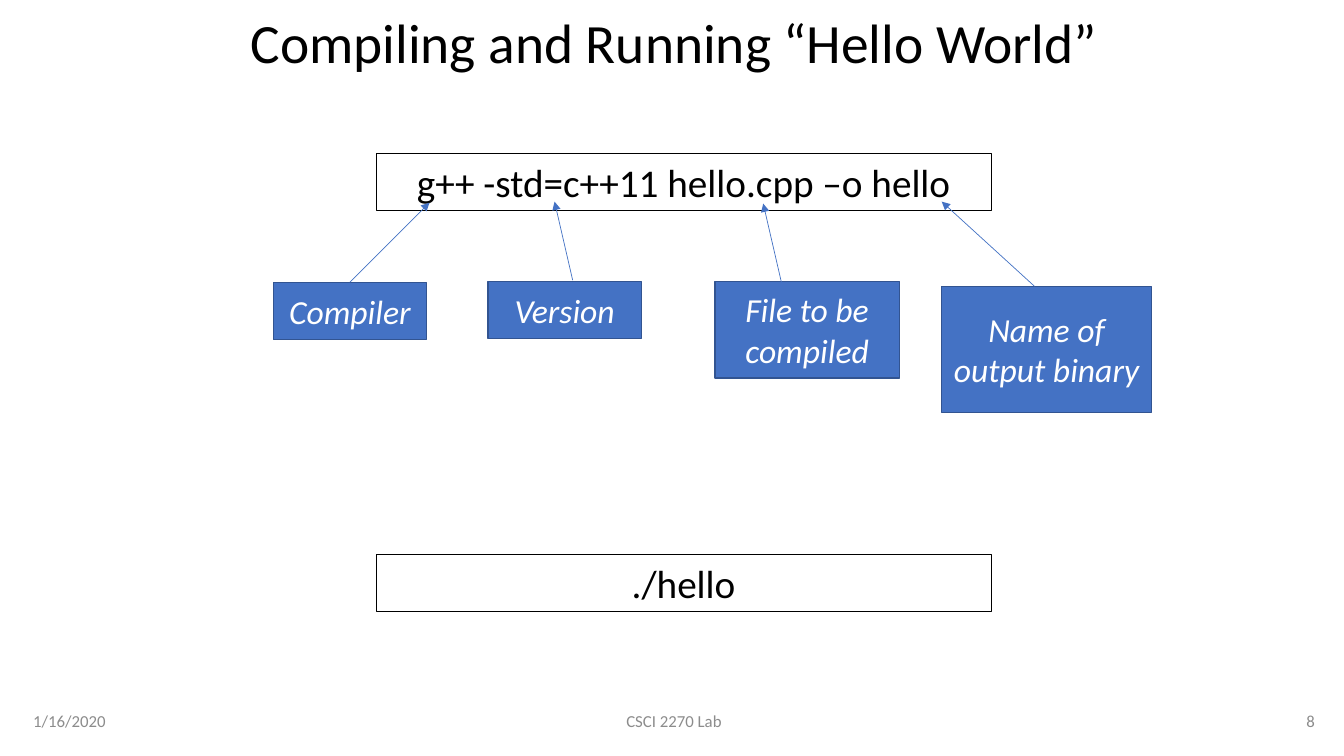
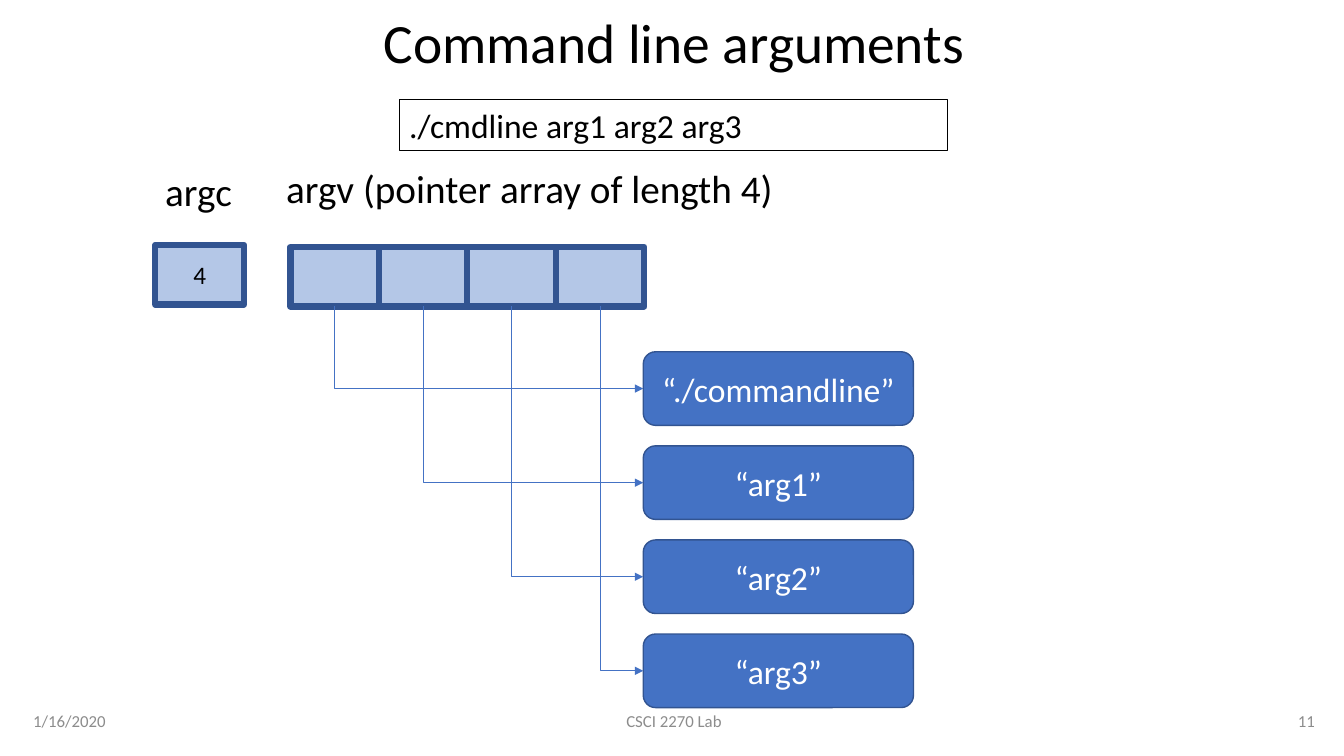
from dataclasses import dataclass
from lxml import etree
from pptx import Presentation
from pptx import util as u
from pptx.dml.color import RGBColor
from pptx.enum import shapes, text
from pptx.oxml.ns import qn


@dataclass(frozen=True)
class Theme:
    font: str = "Calibri"
    ink: str = "000000"
    paper: str = "FFFFFF"
    muted: str = "8C8C8C"
    accent: str = "4472C4"
    edge: str = "325491"
    pale: str = "B4C7E7"
    title: float = 39.6
    command: int = 28
    label: int = 24
    value: int = 18
    footer: int = 12


T = Theme()
LEFT, CENTER, RIGHT = (text.PP_ALIGN.LEFT, text.PP_ALIGN.CENTER,
                       text.PP_ALIGN.RIGHT)
TOP, MIDDLE = text.MSO_ANCHOR.TOP, text.MSO_ANCHOR.MIDDLE
RECT = shapes.MSO_SHAPE.RECTANGLE
ROUNDED = shapes.MSO_SHAPE.ROUNDED_RECTANGLE


# Shared building blocks
def inches(values):
    return [u.Inches(v) for v in values]


def write(sp, words, size, color=T.ink, align=CENTER, anchor=MIDDLE,
          italic=None):
    tf = sp.text_frame
    tf.word_wrap = True
    tf.vertical_anchor = anchor
    p = tf.paragraphs[0]
    p.alignment = align
    r = p.add_run()
    r.text = words
    formats = {"name": T.font, "size": u.Pt(size), "italic": italic}
    for name, value in formats.items():
        setattr(r.font, name, value)
    r.font.color.rgb = RGBColor.from_string(color)
    return p


def outline(sp, color, width):
    sp.line.color.rgb = RGBColor.from_string(color)
    sp.line.width = u.Pt(width)


def add_text(s, box, words, size, **style):
    sp = s.shapes.add_textbox(*inches(box))
    write(sp, words, size, **style)
    return sp


def add_block(s, box, kind=RECT, fill=T.accent, width=1):
    sp = s.shapes.add_shape(kind, *inches(box))
    sp.shadow.inherit = False
    sp.fill.solid()
    sp.fill.fore_color.rgb = RGBColor.from_string(fill)
    outline(sp, T.edge, width)
    return sp


def add_command(s, box, words, size=T.command, align=CENTER):
    sp = add_text(s, box, words, size, align=align, anchor=TOP)
    sp.text_frame.auto_size = text.MSO_AUTO_SIZE.SHAPE_TO_FIT_TEXT
    outline(sp, T.ink, 0.75)


def add_arrow(s, start, end, kind=shapes.MSO_CONNECTOR.STRAIGHT):
    c = s.shapes.add_connector(kind, *inches((*start, *end)))
    outline(c, T.accent, 0.5)
    etree.SubElement(c.line._get_or_add_ln(), qn("a:tailEnd"), type="triangle")
    etree.SubElement(c._element.spPr, qn("a:effectLst"))
    return c


def add_elbow(s, source, target):
    """Arrow that drops from the source's base, then turns right."""
    x1, y1 = source.left + source.width // 2, source.top + source.height
    x2, y2 = target.left, target.top + target.height // 2
    c = add_arrow(s, (0, 0), (1, 1), shapes.MSO_CONNECTOR.ELBOW)
    c.begin_connect(source, 2)
    c.end_connect(target, 1)
    # Geometry of a right-angle bend, turned to leave downwards
    spPr = c._element.spPr
    spPr.find(qn("a:prstGeom")).set("prst", "bentConnector2")
    xfrm = spPr.find(qn("a:xfrm"))
    xfrm.attrib.clear()
    xfrm.set("rot", "16200000")
    xfrm.set("flipH", "1")
    c.width, c.height = y2 - y1, x2 - x1
    c.left = (x1 + x2 - c.width) // 2
    c.top = (y1 + y2 - c.height) // 2


def add_footer(s, box, number):
    x, y, w, h = box
    side, middle = 3, 4.5
    parts = (
        (x, side, "1/16/2020", LEFT),
        (x + (w - middle) / 2, middle, "CSCI 2270 Lab", CENTER),
        (x + w - side, side, str(number), RIGHT),
    )
    for left, width, words, align in parts:
        add_text(s, (left, y, width, h), words, T.footer, color=T.muted,
                 align=align)


def new_slide(prs, title, number):
    s = prs.slides.add_slide(prs.slide_layouts[5])
    sp = s.shapes.title
    sp.left, sp.top, sp.width, sp.height = inches((0.23, 0.15, 12.91, 0.6))
    write(sp, title, T.title).line_spacing = 0.9
    sp.text_frame.auto_size = text.MSO_AUTO_SIZE.NONE
    add_footer(s, (0.23, 6.95, 12.91, 0.4), number)
    return s


# Compile command with a callout for each of its parts
def add_callouts(s, box):
    x, y = box[:2]
    callouts = (
        ("Compiler", (0, 0.01, 1.52, 0.57), (0.76, 0.01), (1.55, -0.78)),
        ("Version", (2.13, 0, 1.52, 0.57), (2.97, -0.01), (2.79, -0.79)),
        ("File to be compiled", (4.38, 0, 1.83, 0.96),
         (5.04, 0.01), (4.86, -0.77)),
        ("Name of output binary", (6.63, 0.05, 2.08, 1.25),
         (7.55, 0.05), (6.63, -0.79)),
    )
    for words, (dx, dy, w, h), start, end in callouts:
        sp = add_block(s, (x + dx, y + dy, w, h))
        write(sp, words, T.label, color=T.paper, italic=True)
        add_arrow(s, *((x + px, y + py) for px, py in (start, end)))


def compiling_slide(prs):
    s = new_slide(prs, "Compiling and Running “Hello World”", 8)
    add_command(s, (3.73, 1.52, 6.1, 0.57), "g++ -std=c++11 hello.cpp –o hello")
    add_callouts(s, (2.71, 2.79, 8.71, 1.3))
    add_command(s, (3.73, 5.5, 6.1, 0.57), "./hello")


# Pointer array and the strings it points to
def add_cells(s, box, count):
    x, y, w, h = box
    step = w / count
    return [add_block(s, (x + i * step, y, step, h), fill=T.pale, width=4.5)
            for i in range(count)]


def add_strings(s, box, strings):
    x, y, w, h = box
    height = 0.73
    step = (h - height) / (len(strings) - 1)
    blocks = []
    for i, words in enumerate(strings):
        sp = add_block(s, (x, y + i * step, w, height), ROUNDED)
        write(sp, words, T.label, color=T.paper)
        blocks.append(sp)
    return blocks


def arguments_slide(prs):
    s = new_slide(prs, "Command line arguments", 11)
    add_command(s, (3.96, 0.99, 5.44, 0.5), "./cmdline arg1 arg2 arg3",
                T.label, LEFT)
    strings = ("“./commandline”", "“arg1”", "“arg2”", "“arg3”")
    cells = add_cells(s, (2.88, 2.45, 3.51, 0.59), len(strings))
    argc = add_block(s, (1.54, 2.43, 0.88, 0.59), fill=T.pale, width=4.5)
    write(argc, str(len(strings)), T.value)
    for box, words in (
        ((1.54, 1.61, 0.88, 0.59), "argc"),
        ((2.74, 1.58, 5.19, 0.57), "argv (pointer array of length 4)"),
    ):
        add_text(s, box, words, T.command, align=LEFT, anchor=TOP)
    blocks = add_strings(s, (6.38, 3.49, 2.68, 3.53), strings)
    for cell, block in zip(cells, blocks):
        add_elbow(s, cell, block)


prs = Presentation()
prs.slide_width, prs.slide_height = inches((13.33, 7.5))
compiling_slide(prs)
arguments_slide(prs)
prs.save("out.pptx")
